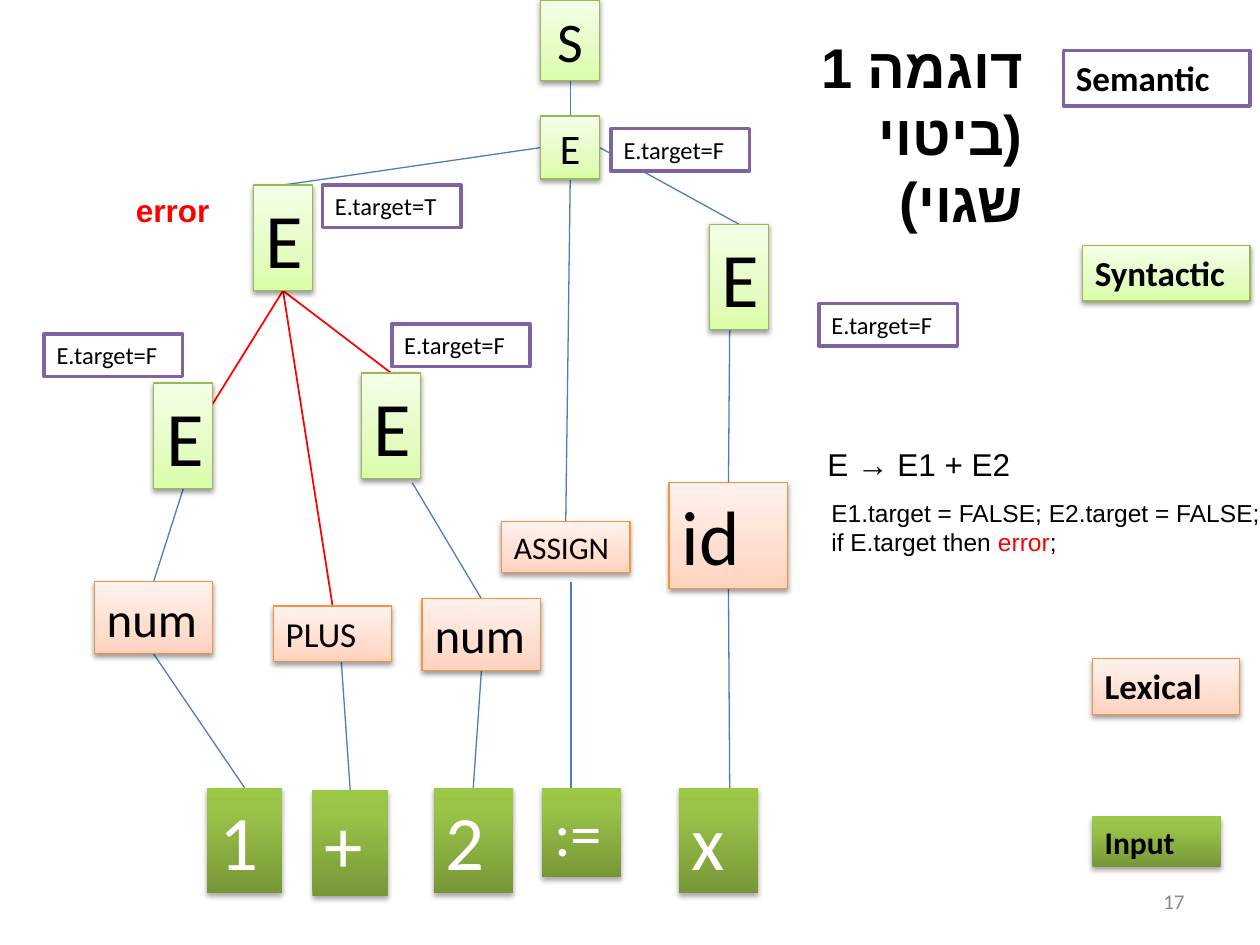
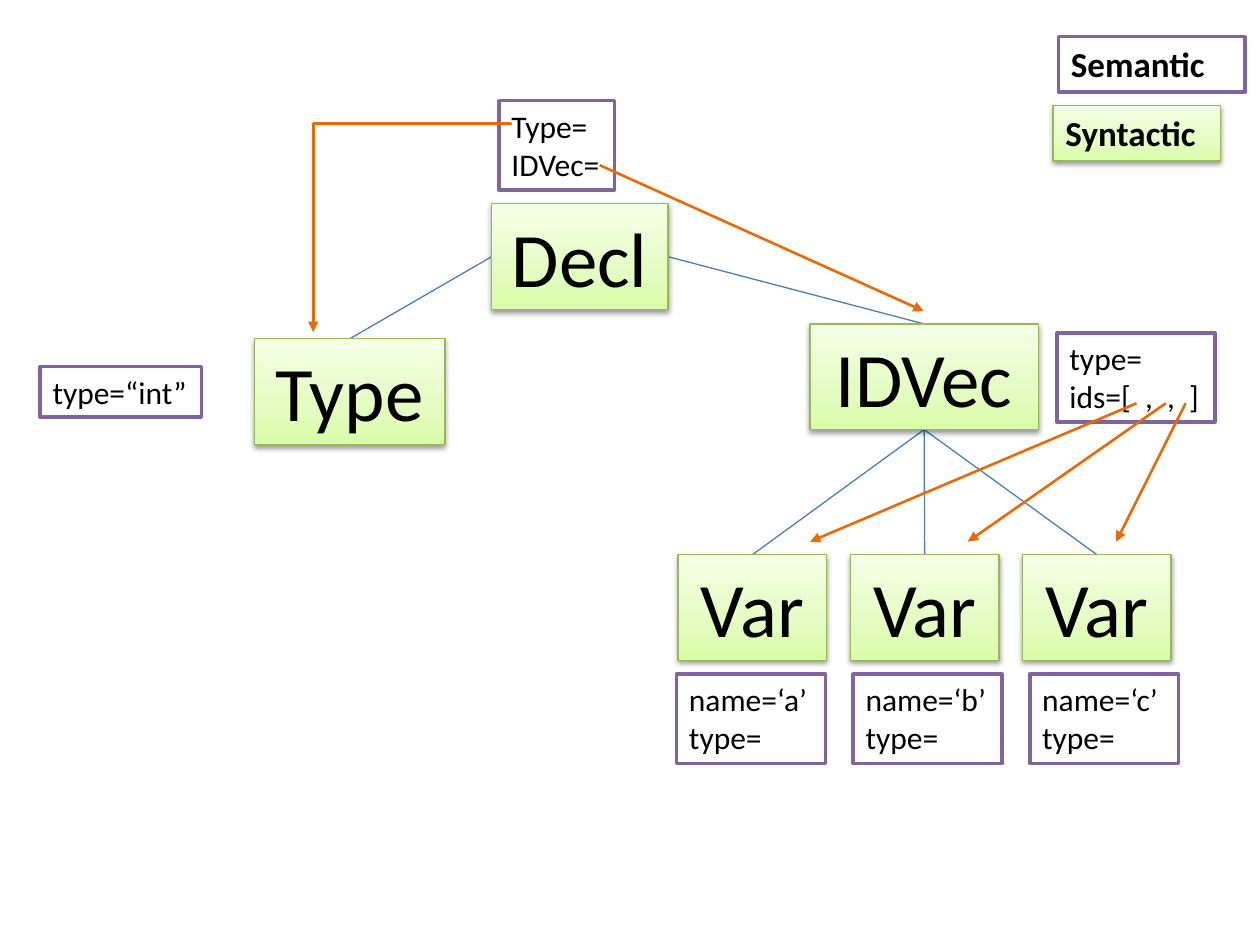
from lxml.etree import SubElement
from pptx import Presentation
from pptx.dml.color import RGBColor
from pptx.enum.shapes import MSO_CONNECTOR, MSO_SHAPE
from pptx.enum.text import MSO_ANCHOR, MSO_AUTO_SIZE, PP_ALIGN
from pptx.oxml.ns import qn
from pptx.util import Cm, Pt

BLACK = RGBColor(0x00, 0x00, 0x00)
WHITE = RGBColor(0xFF, 0xFF, 0xFF)
GRAY = RGBColor(0x89, 0x89, 0x89)
RED = RGBColor(0xFF, 0x00, 0x00)
BLUE = RGBColor(0x4B, 0x7E, 0xBC)
ORANGE = RGBColor(0xE4, 0x6C, 0x0A)
PURPLE = RGBColor(0x80, 0x64, 0xA2)
LEAF = RGBColor(0x98, 0xB9, 0x55)
PEACH = RGBColor(0xF6, 0x92, 0x40)

# Gradient stops run from the bottom edge to the top edge.
# Shadow: opacity in percent, distance in points.
STYLES = {
    "input": {
        "stops": [(0, RGBColor(0x77, 0x97, 0x37)), (80, RGBColor(0x9B, 0xC3, 0x48)),
                  (100, RGBColor(0x9D, 0xC7, 0x46))],
        "line": None, "shadow": (35, 1.8), "font": WHITE},
    "lexical": {
        "stops": [(0, RGBColor(0xFF, 0xD2, 0xBD)), (35, RGBColor(0xFF, 0xDE, 0xD0)),
                  (100, RGBColor(0xFF, 0xF2, 0xED))],
        "line": (PEACH, 0.75), "shadow": (38, 1.6), "font": BLACK},
    "syntactic": {
        "stops": [(0, RGBColor(0xDA, 0xFD, 0xA7)), (35, RGBColor(0xE4, 0xFC, 0xC2)),
                  (100, RGBColor(0xF5, 0xFF, 0xE7))],
        "line": (LEAF, 0.75), "shadow": (38, 1.6), "font": BLACK},
    "semantic": {
        "stops": None, "line": (PURPLE, 2), "shadow": None, "font": BLACK},
}
# Style: width, height, font size of its legend entry
LEGEND = {"semantic": (3.76, 1.12, 20), "syntactic": (3.38, 1.12, 20),
          "lexical": (2.97, 1.12, 20), "input": (2.59, 1.02, 18)}

TOP, LEFT, BOTTOM, RIGHT = range(4)

# Name: (style, text, left, top, width, height, font size, alignment)
EXPRESSION_NODES = {
    "start": ("syntactic", "S", 10.9, 0, 1.19, 1.63, 32, PP_ALIGN.CENTER),
    "assignment": ("syntactic", "E", 10.9, 2.34, 1.19, 1.27, 24, PP_ALIGN.CENTER),
    "sum": ("syntactic", "E", 5.11, 3.73, 1.19, 2.13, 44, PP_ALIGN.LEFT),
    "value": ("syntactic", "E", 14.3, 4.52, 1.19, 2.13, 44, PP_ALIGN.LEFT),
    "first term": ("syntactic", "E", 3.1, 7.72, 1.19, 2.13, 44, PP_ALIGN.LEFT),
    "second term": ("syntactic", "E", 7.29, 7.52, 1.19, 2.13, 44, PP_ALIGN.LEFT),
    "first num": ("lexical", "num", 1.9, 11.73, 2.39, 1.45, 28, PP_ALIGN.LEFT),
    "PLUS": ("lexical", "PLUS", 5.51, 12.22, 2.39, 1.12, 20, PP_ALIGN.LEFT),
    "second num": ("lexical", "num", 8.51, 12.07, 2.39, 1.45, 28, PP_ALIGN.LEFT),
    "ASSIGN": ("lexical", "ASSIGN", 10.11, 10.52, 2.59, 1.02, 18, PP_ALIGN.LEFT),
    "id": ("lexical", "id", 13.49, 9.73, 2.39, 2.13, 44, PP_ALIGN.LEFT),
    "1": ("input", "1", 4.17, 15.88, 1.52, 2.13, 44, PP_ALIGN.LEFT),
    "+": ("input", "+", 6.3, 15.93, 1.52, 2.13, 44, PP_ALIGN.LEFT),
    "2": ("input", "2", 8.74, 15.88, 1.6, 2.13, 44, PP_ALIGN.LEFT),
    ":=": ("input", ":=", 10.92, 15.88, 1.6, 1.8, 36, PP_ALIGN.LEFT),
    "x": ("input", "x", 13.69, 15.88, 1.6, 2.13, 44, PP_ALIGN.LEFT),
}
# Each end is a (node, side) pair or a free (x, y) point.
EXPRESSION_EDGES = [
    (("start", BOTTOM), ("assignment", TOP)),
    (("assignment", LEFT), ("sum", TOP)),
    (("assignment", RIGHT), ("value", TOP)),
    (("assignment", BOTTOM), ("ASSIGN", TOP)),
    ((14.71, 6.53), ("id", TOP)),
    (("id", BOTTOM), (14.71, 15.95)),
    ((11.51, 11.73), (11.51, 15.95)),
    (("first term", BOTTOM), ("first num", TOP)),
    ((8.31, 9.73), ("second num", TOP)),
    (("first num", BOTTOM), ("1", TOP)),
    ((6.88, 13.34), ("+", TOP)),
    (("second num", BOTTOM), ("2", TOP)),
]
ERROR_EDGES = [
    (("sum", BOTTOM), (3.3, 9.73)),
    (("sum", BOTTOM), ("PLUS", TOP)),
    (("sum", BOTTOM), ("second term", TOP)),
]
TARGETS = [("F", 16.51, 6.12), ("F", 0.89, 6.73), ("F", 7.9, 6.53),
           ("T", 6.5, 3.73), ("F", 12.32, 2.59)]
EXPRESSION_LEGEND = [("input", 22.02, 16.46), ("lexical", 22.02, 13.28),
                     ("syntactic", 21.82, 4.95), ("semantic", 21.44, 1.02)]

DECLARATION_NODES = {
    "Type": ("syntactic", "Type", 5.13, 6.83, 3.84, 2.13, 44, PP_ALIGN.CENTER),
    "IDVec": ("syntactic", "IDVec", 16.33, 6.53, 4.6, 2.13, 44, PP_ALIGN.CENTER),
    "Decl": ("syntactic", "Decl", 9.91, 4.11, 3.56, 2.13, 44, PP_ALIGN.CENTER),
}
DECLARATION_EDGES = [(("Decl", LEFT), ("Type", TOP)), (("Decl", RIGHT), ("IDVec", TOP))]
VARIABLES = ["a", "b", "c"]
# Text, left, top, width, height
ATTRIBUTES = [
    ("type=“int”", 0.81, 7.39, 3.25, 1.02),
    ("type=\nids=[  ,  ,  ]", 21.31, 6.71, 3.18, 1.8),
    ("Type=\nIDVec=", 10.06, 2.03, 2.33, 1.8),
]
REFERENCES = [
    ((12.09, 3.33), (18.62, 6.27)),
    ((22.91, 8.13), (16.33, 10.92)),
    ((23.5, 8.13), (19.51, 10.92)),
    ((23.9, 8.13), (22.5, 10.92)),
]
DECLARATION_LEGEND = [("syntactic", 21.23, 2.13), ("semantic", 21.34, 0.74)]


def fill_text(shape, text, size, color, name="Calibri", bold=False,
              align=PP_ALIGN.LEFT, wrap=True):
    frame = shape.text_frame
    frame.text = text
    frame.word_wrap = wrap
    frame.auto_size = MSO_AUTO_SIZE.SHAPE_TO_FIT_TEXT
    frame.vertical_anchor = MSO_ANCHOR.TOP
    for paragraph in frame.paragraphs:
        paragraph.alignment = align
        paragraph.font.size = Pt(size)
        paragraph.font.name = name
        paragraph.font.bold = bold
        paragraph.font.color.rgb = color
    return frame


def add_text(slide, text, left, top, width, height, size, color, **options):
    shape = slide.shapes.add_textbox(Cm(left), Cm(top), Cm(width), Cm(height))
    return fill_text(shape, text, size, color, **options)


def add_color(parent, color):
    return SubElement(parent, qn("a:srgbClr"), val=str(color))


def add_box(slide, style_name, text, left, top, width, height, size,
            align=PP_ALIGN.LEFT, color=None, **options):
    style = STYLES[style_name]
    shape = slide.shapes.add_shape(
        MSO_SHAPE.RECTANGLE, Cm(left), Cm(top), Cm(width), Cm(height))
    if style["stops"]:
        shape.fill.gradient()
        shape.fill.gradient_angle = 90
        stop_list = shape.element.spPr.find(".//" + qn("a:gsLst"))
        for stop in list(stop_list):
            stop_list.remove(stop)
        for position, stop_color in style["stops"]:
            add_color(SubElement(stop_list, qn("a:gs"), pos=str(position * 1000)), stop_color)
    else:
        shape.fill.solid()
        shape.fill.fore_color.rgb = WHITE
    if style["line"]:
        shape.line.color.rgb, width_points = style["line"]
        shape.line.width = Pt(width_points)
    else:
        shape.line.fill.background()
    shape.shadow.inherit = False
    if style["shadow"]:
        opacity, distance = style["shadow"]
        effects = shape.element.spPr.find(qn("a:effectLst"))
        shadow = SubElement(effects, qn("a:outerShdw"), blurRad=str(Pt(3.1)),
                            dist=str(Pt(distance)), dir="5400000", rotWithShape="0")
        SubElement(add_color(shadow, BLACK), qn("a:alpha"), val=str(opacity * 1000))
    fill_text(shape, text, size, color or style["font"], align=align, **options)
    return shape


def add_nodes(slide, nodes):
    return {name: add_box(slide, *node) for name, node in nodes.items()}


def add_legend(slide, entries):
    for style_name, left, top in entries:
        add_box(slide, style_name, style_name.capitalize(), left, top,
                *LEGEND[style_name], color=BLACK, bold=True)


def add_line(slide, begin, end, color, width, kind=MSO_CONNECTOR.STRAIGHT):
    connector = slide.shapes.add_connector(kind, *(Cm(value) for value in begin + end))
    connector.line.color.rgb = color
    connector.line.width = Pt(width)
    SubElement(connector.element.spPr, qn("a:effectLst"))
    return connector


def add_edges(slide, shapes, edges, color, width):
    """Draw tree edges behind the nodes they join."""
    for ends in edges:
        points = [(0, 0) if end[0] in shapes else end for end in ends]
        connector = add_line(slide, *points, color, width)
        for end, connect in zip(ends, (connector.begin_connect, connector.end_connect)):
            if end[0] in shapes:
                connect(shapes[end[0]], end[1])
        slide.shapes.element.insert(2, connector.element)


def add_arrow(slide, begin, end, kind=MSO_CONNECTOR.STRAIGHT):
    connector = add_line(slide, begin, end, ORANGE, 1.5, kind)
    SubElement(connector.element.spPr.find(qn("a:ln")), qn("a:tailEnd"), type="triangle")
    return connector


def build_expression_slide(slide):
    shapes = add_nodes(slide, EXPRESSION_NODES)
    add_edges(slide, shapes, EXPRESSION_EDGES, BLUE, 0.75)
    add_edges(slide, shapes, ERROR_EDGES, RED, 1)
    add_legend(slide, EXPRESSION_LEGEND)
    for value, left, top in TARGETS:
        add_box(slide, "semantic", f"E.target={value}", left, top, 2.79, 0.86, 14)

    title = add_text(slide, "דוגמה 1\v(ביטוי שגוי)", 14.88, 0.53, 5.99, 3, 32, BLACK,
                     name="Arial", bold=True, align=PP_ALIGN.RIGHT)
    properties = title.paragraphs[0]._p.get_or_add_pPr()
    properties.set("rtl", "1")
    SubElement(properties.find(qn("a:defRPr")), qn("a:cs"), typeface="Arial")

    add_text(slide, "error", 2.49, 3.73, 3.4, 1.02, 18, RED, name="Arial", bold=True)
    add_text(slide, "E → E1 + E2", 16.43, 8.84, 4.24, 1.02, 18, BLACK,
             name="Arial", wrap=False)
    action = add_text(slide, "E1.target = FALSE; E2.target = FALSE;\vif E.target then ",
                      16.51, 9.91, 9.19, 1.45, 14, BLACK, name="Arial", wrap=False)
    error = action.paragraphs[0].add_run()
    error.text = "error"
    error.font.color.rgb = RED
    action.paragraphs[0].add_run().text = ";"
    number = add_text(slide, "17", 18.21, 17.65, 5.92, 1.02, 12, GRAY, align=PP_ALIGN.RIGHT)
    number.auto_size = MSO_AUTO_SIZE.NONE
    number.vertical_anchor = MSO_ANCHOR.MIDDLE


def build_declaration_slide(slide):
    shapes = add_nodes(slide, DECLARATION_NODES)
    edges = list(DECLARATION_EDGES)
    for index, variable in enumerate(VARIABLES):
        shapes[variable] = add_box(slide, "syntactic", "Var", 13.67 + 3.47 * index, 11.18,
                                   3, 2.13, 44, PP_ALIGN.CENTER)
        edges.append((("IDVec", BOTTOM), (variable, TOP)))
        add_box(slide, "semantic", f"name=‘{variable}’\ntype=", 13.64 + 3.56 * index, 13.59,
                3, 1.8, 18, wrap=False)
    add_edges(slide, shapes, edges, BLUE, 0.75)
    add_legend(slide, DECLARATION_LEGEND)
    for attribute in ATTRIBUTES:
        add_box(slide, "semantic", *attribute, 18, wrap=False)
    for begin, end in REFERENCES:
        add_arrow(slide, begin, end)

    # A quarter turn makes the elbow leave sideways and arrive from above.
    elbow = add_arrow(slide, (6.22, 2.62), (10.39, 6.6), MSO_CONNECTOR.ELBOW)
    elbow.element.spPr.find(qn("a:xfrm")).set("rot", "5400000")
    geometry = elbow.element.spPr.find(qn("a:prstGeom"))
    SubElement(geometry.find(qn("a:avLst")), qn("a:gd"), name="adj1", fmla="val -700")


def main():
    presentation = Presentation()
    presentation.slide_width = Cm(25.4)
    presentation.slide_height = Cm(19.05)
    for build in (build_expression_slide, build_declaration_slide):
        build(presentation.slides.add_slide(presentation.slide_layouts[6]))
    presentation.save("out.pptx")


if __name__ == "__main__":
    main()
